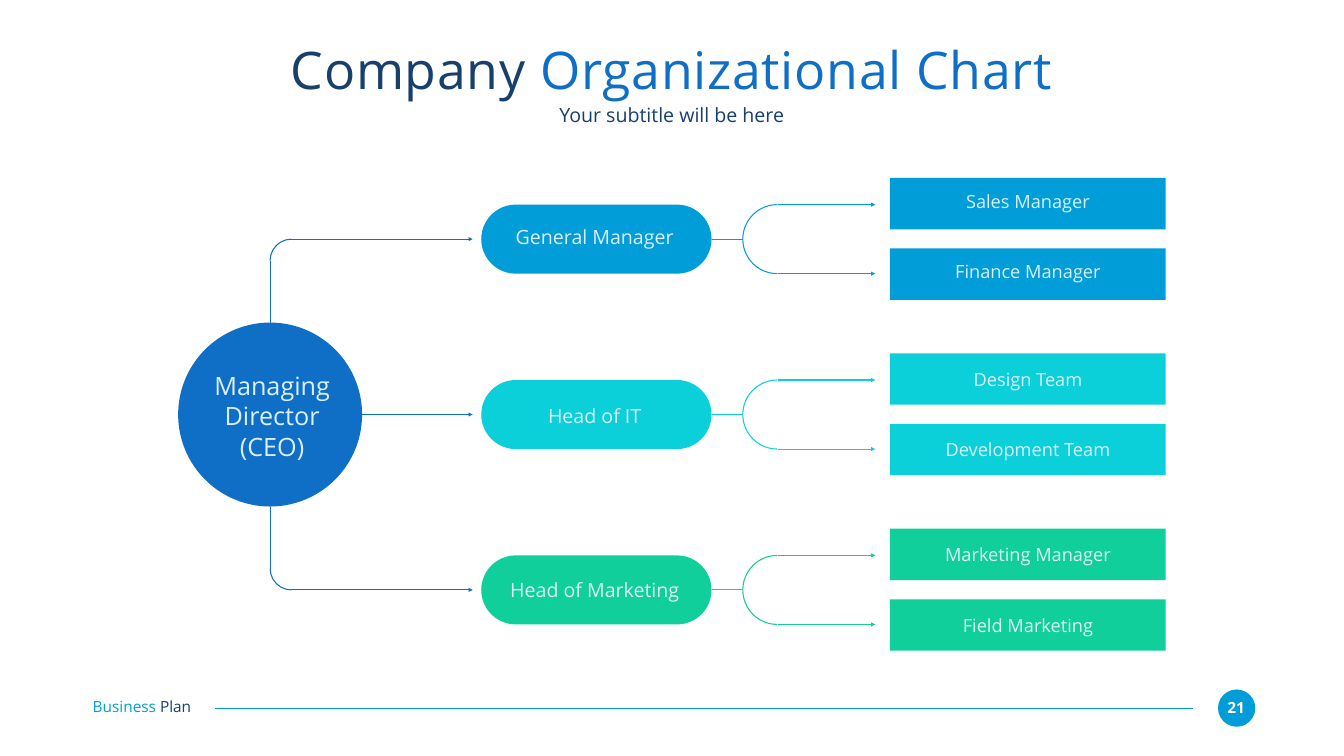
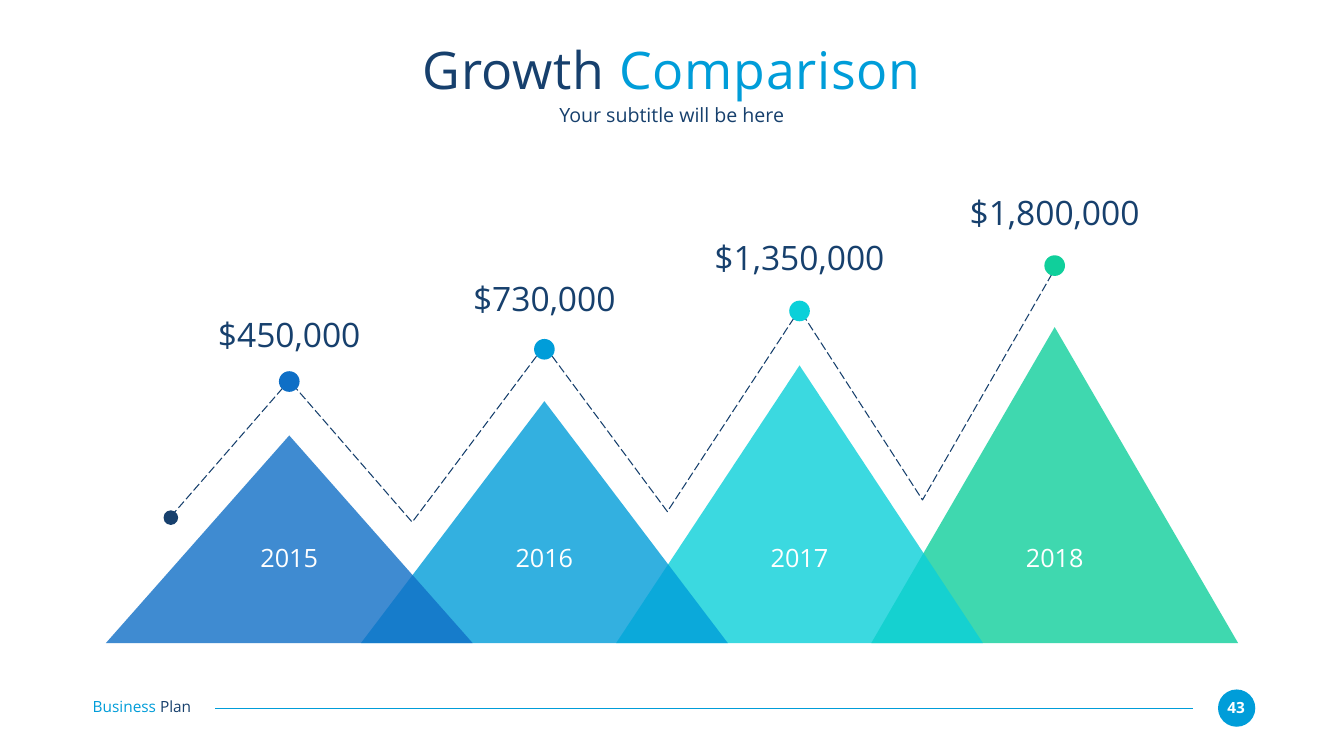
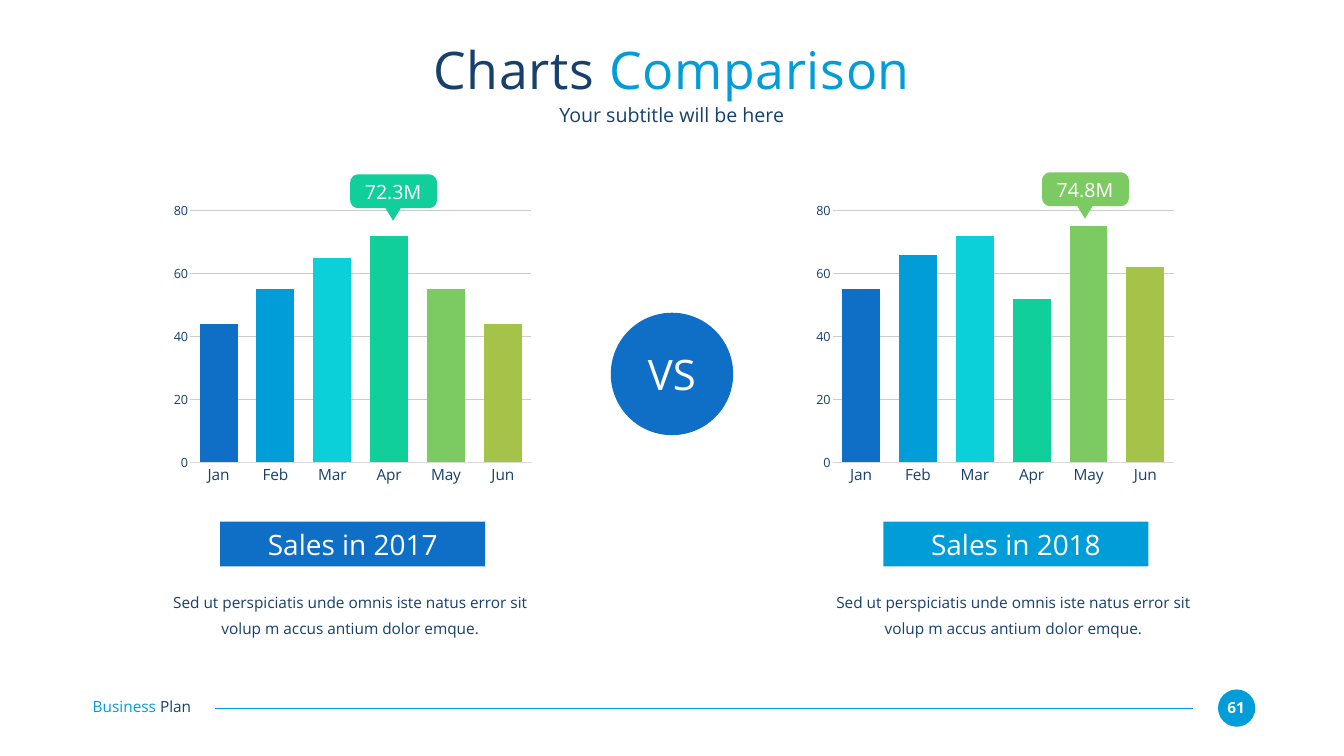
from math import cos, pi, sin

from lxml.etree import SubElement
from pptx import Presentation
from pptx.chart.data import CategoryChartData
from pptx.dml.color import RGBColor
from pptx.enum.chart import XL_CHART_TYPE, XL_TICK_MARK
from pptx.enum.dml import MSO_LINE
from pptx.enum.shapes import MSO_CONNECTOR, MSO_SHAPE
from pptx.enum.text import MSO_ANCHOR, MSO_AUTO_SIZE, PP_ALIGN
from pptx.oxml.ns import qn
from pptx.util import Inches, Pt

NAVY = RGBColor(0x17, 0x40, 0x6D)
BLUE = RGBColor(0x0F, 0x6F, 0xC6)
SKY = RGBColor(0x00, 0x9D, 0xD9)
AQUA = RGBColor(0x0B, 0xD0, 0xD9)
MINT = RGBColor(0x10, 0xCF, 0x9B)
LEAF = RGBColor(0x7C, 0xCA, 0x62)
OLIVE = RGBColor(0xA5, 0xC2, 0x49)
ICE = RGBColor(0xDB, 0xEF, 0xF9)
GRID = RGBColor(0xCC, 0xCC, 0xCC)
AXIS = RGBColor(0xD9, 0xD9, 0xD9)
WHITE = RGBColor(0xFF, 0xFF, 0xFF)

FACE = "Open Sans"
WIDE, HIGH = 26.67, 15
SUBTITLE = "Your subtitle will be here"

# head, colour, drop of its label, drop of the team labels, teams
UNITS = [
    ("General Manager", SKY, 0.41, 0.24, ("Sales Manager", "Finance Manager")),
    ("Head of IT", AQUA, 0.48, 0.29, ("Design Team", "Development Team")),
    ("Head of Marketing", MINT, 0.45, 0.29,
     ("Marketing Manager", "Field Marketing")),
]

# year, amount, colour, top of triangle, dot, label and trail
PEAKS = [
    ("2015", "$450,000", BLUE, 8.64, 7.57, 6.23, 7.55),
    ("2016", "$730,000", SKY, 7.96, 6.93, 5.51, 6.86),
    ("2017", "$1,350,000", AQUA, 7.25, 6.17, 4.7, 6.14),
    ("2018", "$1,800,000", MINT, 6.49, 5.27, 3.81, 5.34),
]
START = (3.39, 10.25)
DIPS = [10.36, 10.15, 9.92]

MONTHS = ["Jan", "Feb", "Mar", "Apr", "May", "Jun"]
HUES = [BLUE, SKY, AQUA, MINT, LEAF, OLIVE]
BLURB = ("Sed ut perspiciatis unde omnis iste natus error sit "
         "volup m accus antium dolor emque.")
# caption, colour, values, chart left, middle, best value, its colour and place
SALES = [
    ("Sales in 2017", BLUE, (44, 55, 65, 72, 55, 44), 3.3, 7,
     "72.3M", MINT, (6.95, 3.46)),
    ("Sales in 2018", SKY, (55, 66, 72, 52, 75, 62), 16.05, 20.16,
     "74.8M", LEAF, (20.68, 3.42)),
]


def block(slide, kind, x, y, w, h, fill):
    """Add a plain filled preset shape without outline."""
    shape = slide.shapes.add_shape(kind, *map(Inches, (x, y, w, h)))
    shape.shadow.inherit = False
    shape.fill.solid()
    shape.fill.fore_color.rgb = fill
    shape.line.fill.background()
    return shape


def disc(slide, x, y, size, fill):
    """Add a circle centred on x, y."""
    return block(slide, MSO_SHAPE.OVAL, x - size / 2, y - size / 2,
                 size, size, fill)


def style(para, size, color=None, align=PP_ALIGN.CENTER, bold=False):
    para.alignment = align
    font = para.font
    font.name, font.size, font.bold = FACE, Pt(size), bold
    if color is not None:
        font.color.rgb = color


def paint(para, parts):
    """Add one run for each pair of words and colour."""
    for words, color in parts:
        run = para.add_run()
        run.text = words
        run.font.color.rgb = color


def frame(box):
    """Clear the margins of a text frame and let it wrap."""
    text = box.text_frame
    text.margin_left = text.margin_right = 0
    text.margin_top = text.margin_bottom = 0
    text.word_wrap = True
    return text


def label(slide, words, mid, y, w, h, size, color, bold=False):
    """Add a text box centred on mid, one paragraph a line."""
    box = slide.shapes.add_textbox(*map(Inches, (mid - w / 2, y, w, h)))
    text = frame(box)
    text.text = words
    text.auto_size = MSO_AUTO_SIZE.SHAPE_TO_FIT_TEXT
    for para in text.paragraphs:
        style(para, size, color, bold=bold)
    return text


def link(slide, start, end, color, arrow=False):
    """Draw a line, with an arrowhead at its start if wanted."""
    line = slide.shapes.add_connector(
        MSO_CONNECTOR.STRAIGHT, *map(Inches, start + end))
    line.line.color.rgb = color
    line.line.width = Pt(1.5)
    props = line.element.spPr
    SubElement(props, qn("a:effectLst"))
    if arrow:
        SubElement(props.find(qn("a:ln")), qn("a:headEnd"), type="triangle")
    return line


def bend(slide, x, y, size, color):
    """Draw the quarter arc that later turns or flips may adapt."""
    arc = block(slide, MSO_SHAPE.ARC, x, y, size, size, color)
    arc.fill.background()
    arc.line.color.rgb = color
    arc.line.width = Pt(1.5)
    return arc


def flip(shape):
    shape.element.spPr.find(qn("a:xfrm")).set("flipH", "1")


def outline(slide, points, close):
    spots = [(Inches(x), Inches(y)) for x, y in points]
    path = slide.shapes.build_freeform(*spots[0], scale=1)
    path.add_line_segments(spots[1:], close=close)
    shape = path.convert_to_shape()
    shape.shadow.inherit = False
    return shape


def set_up(layout):
    """Place the title and subtitle and drop the unused placeholders."""
    for holder in list(layout.placeholders):
        if holder.placeholder_format.idx > 1:
            holder.element.getparent().remove(holder.element)
    title, body = layout.placeholders
    for holder, y, h in ((title, 0.73, 1.27), (body, 2.03, 0.49)):
        holder.left, holder.top = Inches(1.83), Inches(y)
        holder.width, holder.height = Inches(23), Inches(h)
        text = frame(holder)
        text.vertical_anchor = MSO_ANCHOR.MIDDLE
        text.auto_size = MSO_AUTO_SIZE.NONE
    for font in title.element.iter(qn("a:defRPr")):
        font.attrib.pop("cap", None)
        font.set("spc", "100")


def add_footer(slide, layout):
    """Draw the footer on a slide, then hand it over to the layout."""
    dot = disc(slide, 24.54, 14.05, 0.74, SKY)
    rule = link(slide, (23.67, 14.05), (4.27, 14.05), SKY)
    name = slide.shapes.add_textbox(*map(Inches, (1.84, 13.84, 2.59, 0.37)))
    para = frame(name).paragraphs[0]
    style(para, 22, align=PP_ALIGN.LEFT)
    paint(para, [("Business ", SKY), ("Plan", NAVY)])
    for part in (dot, rule, name):
        layout.shapes.element.append(part.element)


def add_slide(deck, layout, lead, rest, color, page):
    slide = deck.slides.add_slide(layout)
    if page == "21":
        add_footer(slide, layout)
    head = slide.shapes.title.text_frame.paragraphs[0]
    style(head, 74)
    paint(head, [(lead, NAVY), (rest, color)])
    body = slide.placeholders[1].text_frame
    body.text = SUBTITLE
    body.paragraphs[0].space_before = 0
    style(body.paragraphs[0], 28, NAVY)
    label(slide, page, 24.53, 13.85, 0.59, 0.37, 22, WHITE, bold=True)
    return slide


def draw_org(slide):
    top, step, tall = 4.06, 3.48, 1.37
    mids = [top + tall / 2 + step * i for i in range(len(UNITS))]
    disc(slide, 5.36, mids[1], 3.65, BLUE)
    label(slide, "Managing Director\n(CEO)", 5.4, 7.35, 3.35, 1.82, 36, ICE)

    turn = 0.85
    for y, x in zip(mids, (5.78, 7.19, 5.78)):
        link(slide, (9.38, y), (x, y), BLUE, arrow=True)
    for y, edge, side in ((mids[0], 6.4, 1), (mids[2], 10.06, -1)):
        link(slide, (5.36, edge), (5.36, y + side * turn / 2), BLUE)
        arc = bend(slide, 5.36, min(y, y + side * turn), turn, BLUE)
        if side > 0:
            flip(arc)
        else:
            arc.rotation = 180

    for mid, (head, color, drop, sink, teams) in zip(mids, UNITS):
        y = mid - tall / 2
        pill = block(slide, MSO_SHAPE.ROUNDED_RECTANGLE,
                     9.55, y, 4.57, tall, color)
        pill.adjustments[0] = 0.5
        label(slide, head, 11.8, y + drop, 3.85, 0.47, 28, ICE)
        link(slide, (14.12, mid), (14.74, mid), color)
        fork = bend(slide, 14.74, y, tall, color)
        fork.adjustments[0], fork.adjustments[1] = 162, 54
        flip(fork)
        for i, team in enumerate(teams):
            tip = y + i * tall
            link(slide, (17.37, tip), (15.43, tip), color, arrow=True)
            row = y - 0.53 + i * 1.4
            block(slide, MSO_SHAPE.RECTANGLE, 17.66, row, 5.47, 1.02, color)
            label(slide, team, 20.4, row + sink, 3.85, 0.44, 26, ICE)


def draw_growth(slide):
    wide, base, step = 7.28, 12.76, 5.063
    mids = [2.1 + wide / 2 + step * i for i in range(len(PEAKS))]
    for mid, peak in reversed(list(zip(mids, PEAKS))):
        color, top = peak[2:4]
        hill = block(slide, MSO_SHAPE.ISOSCELES_TRIANGLE,
                     mid - wide / 2, top, wide, base - top, color)
        tint = next(hill.element.spPr.iter(qn("a:srgbClr")))
        SubElement(tint, qn("a:alpha"), val="80000")

    route = [START]
    for i, (mid, peak) in enumerate(zip(mids, PEAKS)):
        route.append((mid, peak[-1]))
        if i < len(DIPS):
            route.append((mid + 2.44, DIPS[i]))
    trail = outline(slide, route, close=False)
    trail.fill.background()
    trail.line.color.rgb = NAVY
    trail.line.width = Pt(1.5)
    trail.line.dash_style = MSO_LINE.LONG_DASH

    disc(slide, 3.39, 10.27, 0.29, NAVY)
    for mid, (year, sum_, color, _, dot, text, _) in zip(mids, PEAKS):
        label(slide, year, mid, 10.76, 2.41, 0.61, 36, WHITE)
        label(slide, sum_, mid, text, 3.68, 0.81, 48, NAVY)
        disc(slide, mid, dot, 0.41, color)


def add_bars(slide, x, vals):
    data = CategoryChartData()
    data.categories = MONTHS
    data.add_series("Series 1", vals)
    chart = slide.shapes.add_chart(
        XL_CHART_TYPE.COLUMN_CLUSTERED,
        *map(Inches, (x, 3.89, 7.39, 5.84)), data).chart
    chart.has_legend = chart.has_title = False
    cats, nums = chart.category_axis, chart.value_axis
    for part, size in ((chart, 22), (cats.tick_labels, 22),
                       (nums.tick_labels, 18)):
        part.font.name, part.font.size = FACE, Pt(size)
        part.font.color.rgb = NAVY
    for axis in (cats, nums):
        axis.major_tick_mark = axis.minor_tick_mark = XL_TICK_MARK.NONE
    cats.format.line.color.rgb = AXIS
    cats.format.line.width = Pt(0.75)
    nums.format.line.fill.background()
    nums.minimum_scale, nums.maximum_scale, nums.major_unit = 0, 80, 20
    rules = nums.major_gridlines.format.line
    rules.color.rgb, rules.width = GRID, Pt(1)

    plot = chart.plots[0]
    plot.gap_width, plot.vary_by_categories = 50, False
    bars = plot.series[0]
    bars.format.fill.solid()
    bars.format.fill.fore_color.rgb = BLUE
    for i, hue in enumerate(HUES[1:], 1):
        fill = bars.points[i].format.fill
        fill.solid()
        fill.fore_color.rgb = hue


def add_bubble(slide, x, y, words, color):
    """Draw a rounded label with a small pointer below it."""
    w, h, r, steps = 1.72, 0.67, 0.16, 6
    mid, half, tip = x + 0.85, 0.15, 0.92
    hubs = [(x + r, y + r), (x + w - r, y + r),
            (x + w - r, y + h - r), (x + r, y + h - r)]
    edge = []
    for i, (a, b) in enumerate(hubs):
        if i == 3:
            edge += [(mid + half, y + h), (mid, y + tip), (mid - half, y + h)]
        # each corner sweeps a quarter turn, clockwise from the left
        turns = [pi + pi / 2 * (i + k / steps) for k in range(steps + 1)]
        if i == 3:
            turns[-1] = pi * 3
        edge += [(a + r * cos(t), b + r * sin(t)) for t in turns]
    shape = outline(slide, edge, close=True)
    shape.fill.solid()
    shape.fill.fore_color.rgb = color
    shape.line.fill.background()
    label(slide, words, mid, y + 0.11, 1.44, 0.47, 28, WHITE)


def draw_sales(slide):
    disc(slide, WIDE / 2, 7.42, 2.43, BLUE)
    label(slide, "VS", WIDE / 2, 6.91, 1.44, 1.01, 60, WHITE)
    for caption, color, vals, left, mid, best, hue, spot in SALES:
        add_bars(slide, left, vals)
        block(slide, MSO_SHAPE.RECTANGLE, mid - 2.63, 10.35, 5.26, 0.89, color)
        label(slide, caption, mid, 10.46, 3.79, 0.67, 40, WHITE)
        add_bubble(slide, *spot, best, hue)
        text = label(slide, BLURB, mid - 0.05, 11.63, 7.61, 1.04, 22, NAVY)
        text.paragraphs[0].line_spacing = 1.4
        text.paragraphs[0].space_after = Pt(36)


def main():
    deck = Presentation()
    deck.slide_width, deck.slide_height = Inches(WIDE), Inches(HIGH)
    layout = deck.slide_layouts[2]
    set_up(layout)
    for lead, rest, color, page, draw in (
            ("Company ", "Organizational Chart", BLUE, "21", draw_org),
            ("Growth ", "Comparison", SKY, "43", draw_growth),
            ("Charts ", "Comparison", SKY, "61", draw_sales)):
        draw(add_slide(deck, layout, lead, rest, color, page))
    deck.save("out.pptx")


if __name__ == "__main__":
    main()
